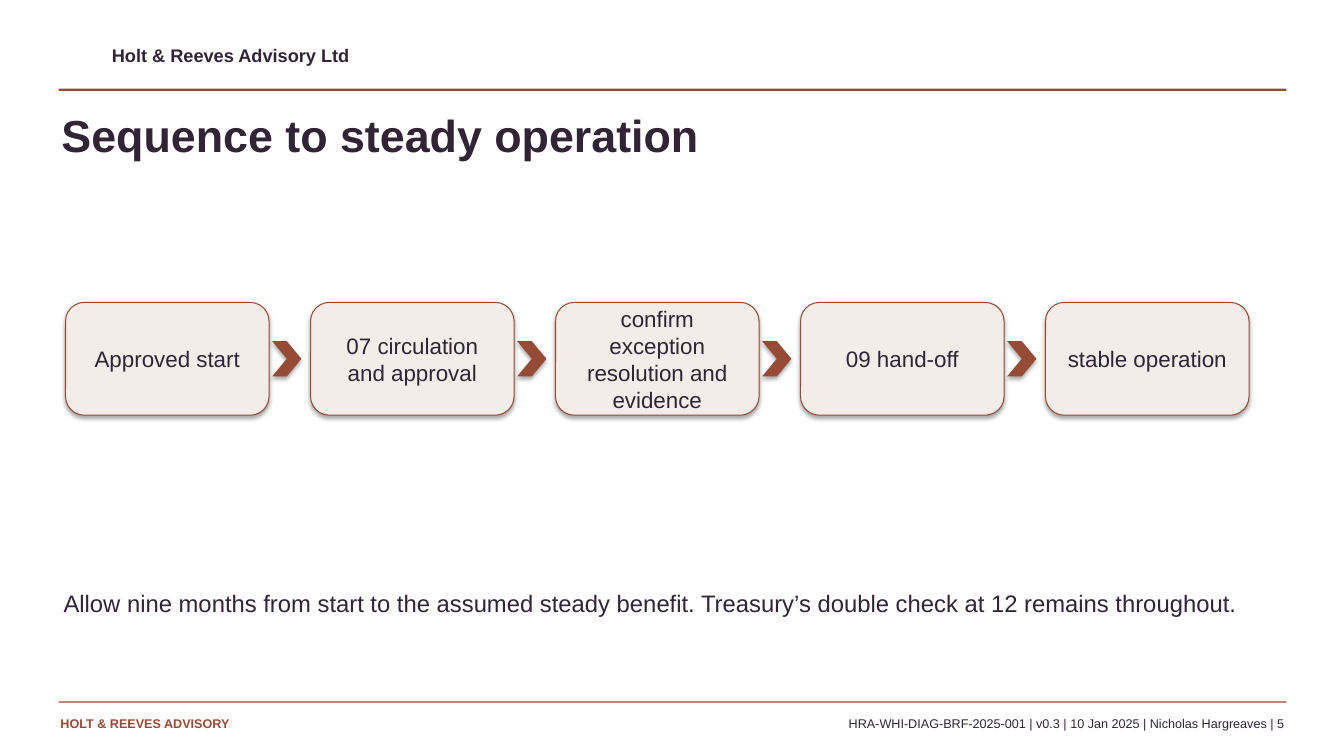
import pptx
import pptx.dml.color
import pptx.enum.shapes
import pptx.enum.text
import pptx.oxml
import pptx.oxml.ns
import pptx.util

Pt = pptx.util.Pt
RGBColor = pptx.dml.color.RGBColor
Shape = pptx.enum.shapes.MSO_SHAPE
Align = pptx.enum.text.PP_ALIGN
Anchor = pptx.enum.text.MSO_ANCHOR

RUST = RGBColor(0x96, 0x4B, 0x37)
PLUM = RGBColor(0x30, 0x24, 0x35)
BLUSH = RGBColor(0xF4, 0xEC, 0xE8)
FONT = "Arial"

STEPS = [
    "Approved start",
    "07 circulation\vand approval",
    "confirm exception\vresolution and evidence",
    "09 hand-off",
    "stable operation",
]
LEFT, TOP, WIDTH, HEIGHT, PITCH = 46.8, 216, 145.4, 80.6, 175
HEAD_W, HEAD_H, HEAD_GAP = 20.9, 25.2, 2.2

SHADOW = (
    '<a:outerShdw %s blurRad="%d" dist="%d" dir="5400000" rotWithShape="0">'
    '<a:srgbClr val="000000"><a:alpha val="35000"/></a:srgbClr></a:outerShdw>'
)


def style(frame, size, color, bold=False, align=Align.LEFT):
    """Format every paragraph of a text frame."""
    frame.word_wrap = True
    for para in frame.paragraphs:
        para.alignment = align
        for run in para.runs:
            run.font.name = FONT
            run.font.size = Pt(size)
            run.font.bold = bold
            run.font.color.rgb = color


def add_text(slide, text, box, size, color=PLUM, bold=False, align=Align.LEFT):
    """Add a text box without margins."""
    frame = slide.shapes.add_textbox(*map(Pt, box)).text_frame
    frame.margin_left = frame.margin_right = 0
    frame.margin_top = frame.margin_bottom = 0
    frame.text = text
    style(frame, size, color, bold, align)


def add_block(slide, kind, box, fill):
    """Add a filled shape with no line and no shadow."""
    shape = slide.shapes.add_shape(kind, *map(Pt, box))
    shape.shadow.inherit = False
    shape.fill.solid()
    shape.fill.fore_color.rgb = fill
    shape.line.fill.background()
    return shape


def add_shadow(shape):
    """Give a shape a soft shadow that falls straight down."""
    effects = shape._element.spPr.find(pptx.oxml.ns.qn("a:effectLst"))
    xml = SHADOW % (pptx.oxml.ns.nsdecls("a"), Pt(3.1), Pt(1.8))
    effects.append(pptx.oxml.parse_xml(xml))


def add_step(slide, text, left):
    """Add one rounded step box."""
    shape = add_block(slide, Shape.ROUNDED_RECTANGLE, (left, TOP, WIDTH, HEIGHT), BLUSH)
    shape.line.color.rgb = RUST
    shape.line.width = Pt(0.75)
    add_shadow(shape)
    shape.text_frame.text = text
    shape.text_frame.vertical_anchor = Anchor.MIDDLE
    style(shape.text_frame, 16, PLUM, align=Align.CENTER)


def add_flow(slide):
    """Add the row of steps with a chevron after each but the last."""
    for index, text in enumerate(STEPS):
        left = LEFT + index * PITCH
        add_step(slide, text, left)
        if index < len(STEPS) - 1:
            top = TOP + (HEIGHT - HEAD_H) / 2
            box = (left + WIDTH + HEAD_GAP, top, HEAD_W, HEAD_H)
            add_shadow(add_block(slide, Shape.CHEVRON, box, RUST))


def add_frame(slide):
    """Add the header and footer."""
    add_text(slide, "Holt & Reeves Advisory Ltd", (79.9, 31.7, 432, 19.4), 13, bold=True)
    for top, height in ((63.4, 1.6), (501, 0.9)):
        add_block(slide, Shape.RECTANGLE, (41.8, top, 877, height), RUST)
    add_text(slide, "HOLT & REEVES ADVISORY", (43.2, 511.2, 244.8, 18), 9, RUST, True)
    add_text(
        slide,
        "HRA-WHI-DIAG-BRF-2025-001 | v0.3 | 10 Jan 2025 | Nicholas Hargreaves | 5",
        (296.6, 511.2, 620.6, 15.8), 9, align=Align.RIGHT,
    )


def main():
    """Build the slide and save it."""
    deck = pptx.Presentation()
    deck.slide_width, deck.slide_height = Pt(960), Pt(540)
    slide = deck.slides.add_slide(deck.slide_layouts[6])
    add_frame(slide)
    add_text(slide, "Sequence to steady operation", (43.9, 77, 864, 56.2), 32, bold=True)
    add_flow(slide)
    add_text(
        slide,
        "Allow nine months from start to the assumed steady benefit. "
        "Treasury’s double check at 12 remains throughout.",
        (45.4, 420.5, 859.7, 57.6), 17,
    )
    deck.save("out.pptx")


if __name__ == "__main__":
    main()
